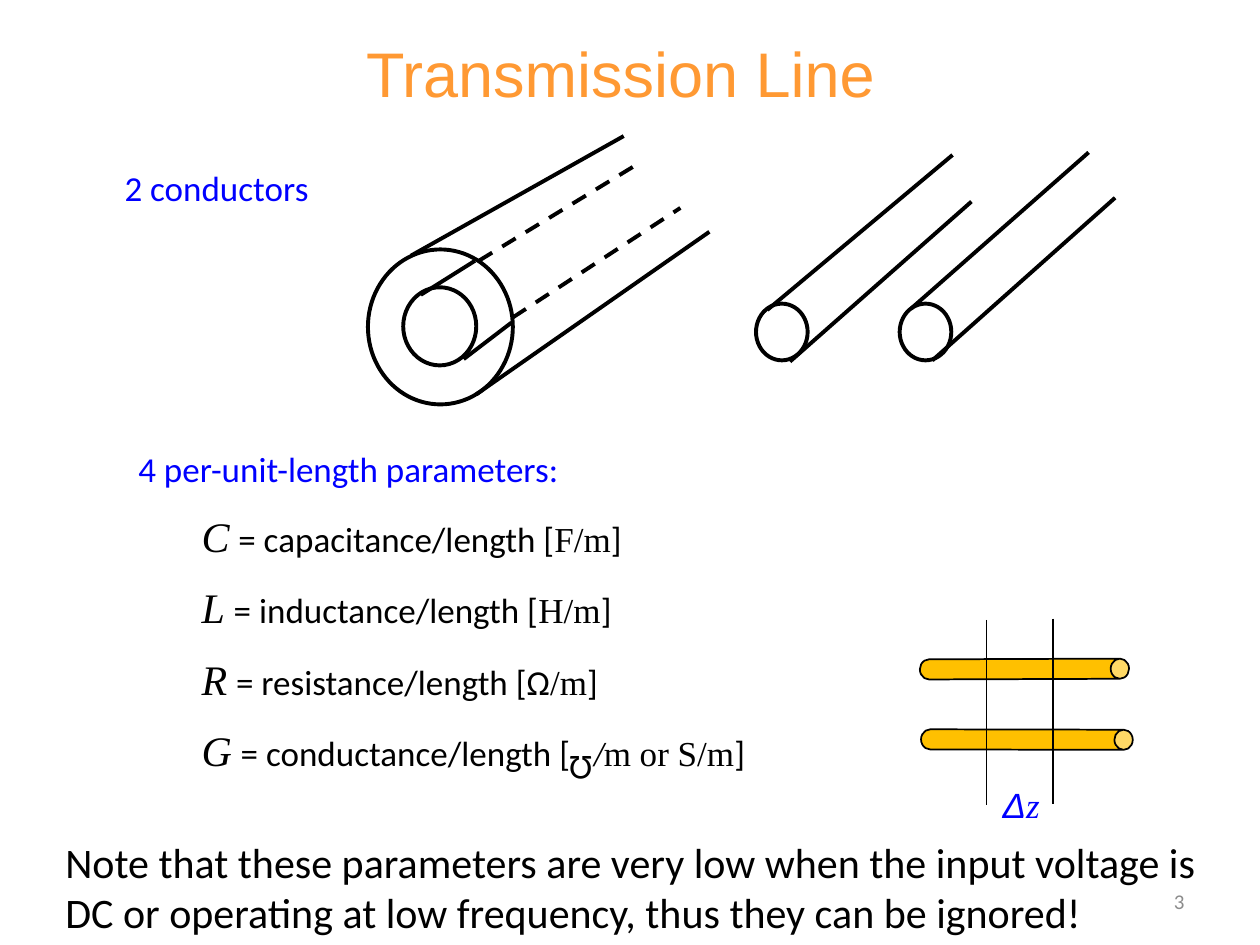
from dataclasses import dataclass

from lxml import etree
from pptx import Presentation
from pptx import util as u
from pptx.dml.color import RGBColor
from pptx.enum import dml, shapes, text

ORANGE = RGBColor(0xFF, 0x99, 0x33)
BLUE = RGBColor(0x00, 0x00, 0xFF)
BLACK = RGBColor(0x00, 0x00, 0x00)
GRAY = RGBColor(0x8C, 0x8C, 0x8C)
GOLD = RGBColor(0xFF, 0xC0, 0x00)
SANS, SERIF, TITLE_FONT = "Calibri", "Times New Roman", "Arial"
DRAWING_NS = "http://schemas.openxmlformats.org/drawingml/2006/main"
COLUMNS, ROWS = 100, 75

presentation = Presentation()
presentation.slide_width = u.Inches(10)
presentation.slide_height = u.Inches(7.5)
COLUMN = presentation.slide_width // COLUMNS
ROW = presentation.slide_height // ROWS
slide = presentation.slides.add_slide(presentation.slide_layouts[1])


@dataclass
class Box:
    """A rectangle in grid columns and rows."""
    left: float
    top: float
    width: float
    height: float

    def lengths(self) -> tuple[int, ...]:
        """Return left, top, width and height as slide lengths."""
        return (round(self.left * COLUMN), round(self.top * ROW),
                round(self.width * COLUMN), round(self.height * ROW))


@dataclass
class Edge:
    """A straight line between two grid points."""
    x1: float
    y1: float
    x2: float
    y2: float
    weight: float = 2.25
    dashed: bool = False


@dataclass
class Piece:
    """A run of text with its format; spacing is in points per character."""
    words: str
    size: float = 20
    font: str = SANS
    color: RGBColor = BLACK
    italic: bool = False
    spacing: float = 0


@dataclass
class Label:
    """A text box with a single paragraph."""
    box: Box
    pieces: list[Piece]
    align: text.PP_ALIGN = text.PP_ALIGN.LEFT
    anchor: text.MSO_ANCHOR = text.MSO_ANCHOR.TOP
    rotation: float = 0


@dataclass
class Parameter:
    """A line parameter: symbol, meaning and the pieces of its unit."""
    symbol: str
    meaning: str
    unit: list[Piece]


def place(shape, box: Box) -> None:
    """Move and size a shape on the grid."""
    shape.left, shape.top, shape.width, shape.height = box.lengths()


def add_pieces(paragraph, pieces: list[Piece]) -> None:
    """Add formatted runs to a paragraph."""
    for piece in pieces:
        run = paragraph.add_run()
        run.text = piece.words
        run.font.size = u.Pt(piece.size)
        run.font.name = piece.font
        run.font.italic = piece.italic
        run.font.color.rgb = piece.color
        if piece.spacing:
            run._r.get_or_add_rPr().set("spc", str(round(piece.spacing * 100)))


def add_label(label: Label) -> None:
    """Add a text box."""
    shape = slide.shapes.add_textbox(*label.box.lengths())
    shape.rotation = label.rotation
    frame = shape.text_frame
    frame.word_wrap = True
    frame.vertical_anchor = label.anchor
    frame.paragraphs[0].alignment = label.align
    add_pieces(frame.paragraphs[0], label.pieces)


def add_edge(edge: Edge) -> None:
    """Add a solid or dashed line without a shadow."""
    line = slide.shapes.add_connector(
        shapes.MSO_CONNECTOR.STRAIGHT,
        round(edge.x1 * COLUMN), round(edge.y1 * ROW),
        round(edge.x2 * COLUMN), round(edge.y2 * ROW))
    line.line.color.rgb = BLACK
    line.line.width = u.Pt(edge.weight)
    if edge.dashed:
        line.line.dash_style = dml.MSO_LINE.DASH
    etree.SubElement(line._element.spPr, f"{{{DRAWING_NS}}}effectLst")


def add_outline(kind: shapes.MSO_SHAPE, box: Box, weight: float):
    """Add an unfilled preset shape with a black outline."""
    shape = slide.shapes.add_shape(kind, *box.lengths())
    shape.shadow.inherit = False
    shape.fill.background()
    shape.line.color.rgb = BLACK
    shape.line.width = u.Pt(weight)
    return shape


def add_rod(box: Box, rotation: float) -> None:
    """Add a gold conductor: an upright can turned on its side."""
    rod = add_outline(shapes.MSO_SHAPE.CAN, box, 1)
    rod.adjustments[0] = 0.91
    rod.rotation = rotation
    rod.fill.solid()
    rod.fill.fore_color.rgb = GOLD


def format_parameter(paragraph, parameter: Parameter) -> None:
    """Write a parameter without a bullet or indent."""
    properties = paragraph._p.get_or_add_pPr()
    properties.set("marL", "0")
    properties.set("indent", "0")
    etree.SubElement(properties, f"{{{DRAWING_NS}}}buNone")
    add_pieces(paragraph, [
        Piece(parameter.symbol, 24, SERIF, italic=True),
        Piece(" ", font=SERIF, italic=True),
        Piece(f"= {parameter.meaning}/length ["),
        *parameter.unit, Piece("]")])


# The widened space leaves room for the mho sign, a turned omega label.
PARAMETERS = [
    Parameter("C", "capacitance", [Piece("F/m", font=SERIF)]),
    Parameter("L", "inductance", [Piece("H/m", font=SERIF)]),
    Parameter("R", "resistance", [Piece("Ω"), Piece("/m", font=SERIF)]),
    Parameter("G", "conductance", [
        Piece(" ", spacing=9), Piece("/", font=SERIF, italic=True),
        Piece("m or S/m", font=SERIF)]),
]
ELLIPSES = [
    Box(29.2, 19.8, 11.5, 12.3), Box(32, 22.8, 5.8, 6.2),
    Box(60, 24.1, 4.1, 4.5), Box(71.4, 24.1, 4.1, 4.5),
]
CABLE_EDGES = [
    Edge(32.6, 20.3, 49.5, 10.8), Edge(37.8, 31.3, 56.3, 18.4),
    Edge(33.4, 23.4, 37.7, 20.7), Edge(36.8, 28.5, 40.6, 25.6),
    Edge(38, 20.7, 50.8, 12.9, dashed=True),
    Edge(40.7, 25.2, 54, 16.5, dashed=True),
    Edge(60.9, 24.6, 75.6, 12.3), Edge(62.7, 28.7, 77.1, 16),
    Edge(72.3, 24.5, 86.4, 12.1), Edge(74, 28.6, 88.5, 15.7),
]
SECTION_EDGES = [Edge(78.3, 49.2, 78.3, 63.9, 1), Edge(83.6, 49.1, 83.6, 63.8, 1)]
LABELS = [
    Label(Box(8.9, 12.7, 18.9, 4.3), [Piece("2 conductors", color=BLUE)]),
    Label(Box(10, 35, 41, 4.4),
          [Piece("4 per-unit-length parameters:", color=BLUE)]),
    Label(Box(43.9, 58.9, 4.1, 4.4), [Piece("Ω")], rotation=180),
    Label(Box(78.6, 61.7, 6.7, 4.3), [
        Piece("Δ", 20, TITLE_FONT, BLUE, True),
        Piece("z", 20, SERIF, BLUE, True)]),
    Label(Box(71.7, 69.5, 23.3, 4), [Piece("3", 12, color=GRAY)],
          text.PP_ALIGN.RIGHT, text.MSO_ANCHOR.MIDDLE),
    Label(Box(4.2, 65.9, 95.8, 9.1), [Piece(
        "Note that these parameters are very low when the input voltage is "
        "DC or operating at low frequency, thus they can be ignored!", 24)]),
]

title, body = slide.placeholders
place(title, Box(2, 2.2, 94.5, 7))
add_pieces(title.text_frame.paragraphs[0],
           [Piece("Transmission Line", 36, TITLE_FONT, ORANGE)])

place(body, Box(15, 40, 48.6, 23))
body.text_frame.auto_size = text.MSO_AUTO_SIZE.NONE
for index, parameter in enumerate(PARAMETERS):
    frame = body.text_frame
    paragraph = frame.add_paragraph() if index else frame.paragraphs[0]
    paragraph.space_before = u.Pt(12 if index else 0)
    format_parameter(paragraph, parameter)

for ellipse in ELLIPSES:
    add_outline(shapes.MSO_SHAPE.OVAL, ellipse, 2.25)
add_rod(Box(80.5, 44.8, 1.6, 16.6), 89.8)
add_rod(Box(80.7, 50.3, 1.6, 16.8), 90.1)
for edge in CABLE_EDGES + SECTION_EDGES:
    add_edge(edge)
for label in LABELS:
    add_label(label)

presentation.save("out.pptx")
